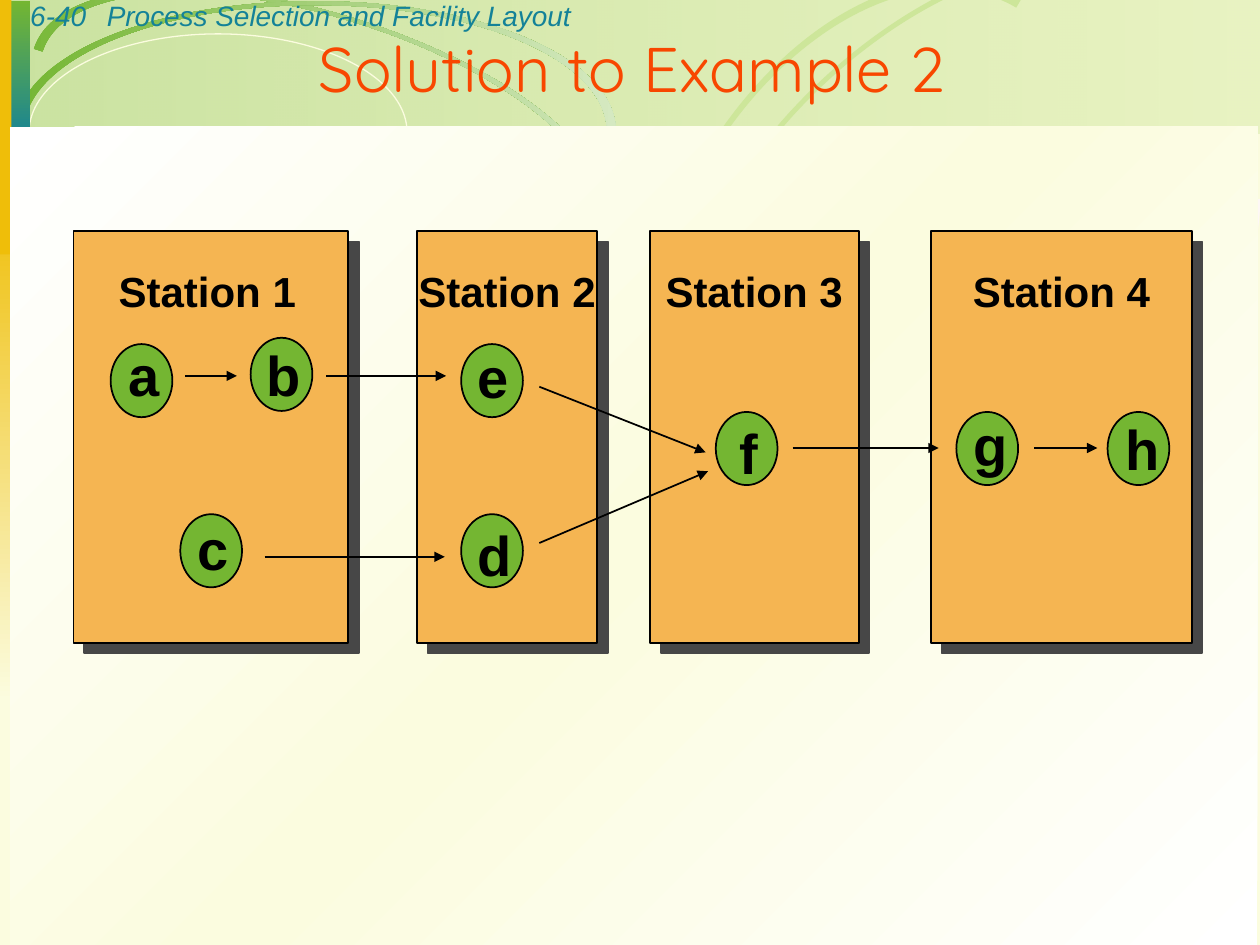
"""Draws the assembly-line station layout that solves Example 2."""
from lxml import etree
from pptx import Presentation
from pptx import util as u
from pptx.dml import color as dml_color
from pptx.enum import shapes, text
from pptx.oxml import ns

BLACK, GREEN, PALE, TEAL = "000000", "74B632", "FBFCDF", "148298"
GOLD, ORANGE, RED, LIME, OLIVE = "EFBE09", "F5B552", "F84700", "CDE69A", "CEDE73"
RECT, OVAL = shapes.MSO_SHAPE.RECTANGLE, shapes.MSO_SHAPE.OVAL
LEFT, CENTER = text.PP_ALIGN.LEFT, text.PP_ALIGN.CENTER
HALF_OVAL = [(0, 0.5), (0, 0.22), (0.22, 0), (0.5, 0), (0.78, 0), (1, 0.22), (1, 0.5)]
RIM = 0.97


def rgb(value):
    return dml_color.RGBColor.from_string(value)


def child(parent, tag, **attributes):
    values = {key: str(value) for key, value in attributes.items()}
    return etree.SubElement(parent, ns.qn(tag), values)


def write(frame, words, size=16, font="Arial", color=BLACK, bold=False,
          italic=False, align=LEFT):
    paragraph = frame.paragraphs[0]
    paragraph.alignment = align
    run = paragraph.add_run()
    run.text = words
    run.font.size, run.font.name = u.Pt(size), font
    run.font.bold, run.font.italic = bold, italic
    run.font.color.rgb = rgb(color)


class Board:
    """Holds the line style and the current slide, and draws each kind of element."""

    def __init__(self, slide, line_width=1):
        self.slide, self.line_width = slide, line_width
        slide.background.fill.solid()
        slide.background.fill.fore_color.rgb = rgb(PALE)

    def paint(self, shape, fill=None, line=None, width=None, angle=0):
        shape.shadow.inherit = False
        if fill is None:
            shape.fill.background()
        elif isinstance(fill, str):
            shape.fill.solid()
            shape.fill.fore_color.rgb = rgb(fill)
        else:
            self.blend(shape, fill, angle)
        if line:
            shape.line.color.rgb = rgb(line)
            shape.line.width = u.Pt(width or self.line_width)
        else:
            shape.line.fill.background()
        return shape

    def blend(self, shape, colors, angle):
        shape.fill.gradient()
        shape.fill.gradient_angle = -angle % 360
        stops = shape.element.spPr.find(ns.qn("a:gradFill")).find(ns.qn("a:gsLst"))
        for stop in list(stops):
            stops.remove(stop)
        for index, (color, *alpha) in enumerate(colors):
            stop = child(stops, "a:gs", pos=100000 * index // (len(colors) - 1))
            tint = child(stop, "a:srgbClr", val=color)
            if alpha:
                child(tint, "a:alpha", val=alpha[0] * 1000)

    def shape(self, kind, x, y, w, h, **style):
        box = map(u.Pt, (x, y, w, h))
        return self.paint(self.slide.shapes.add_shape(kind, *box), **style)

    def curve(self, x, y, w, h, steps, **style):
        left, top, right, bottom = map(u.Pt, (x, y, x + w, y + h))
        builder = self.slide.shapes.build_freeform(left, top)
        builder.add_line_segments([(right, top), (right, bottom), (left, bottom)])
        outline = builder.convert_to_shape()
        track = next(outline.element.spPr.iter(ns.qn("a:path")))
        for step in list(track):
            track.remove(step)
        for tag, points in steps:
            step = child(track, tag)
            for across, down in points:
                child(step, "a:pt", x=round(across * (right - left)),
                      y=round(down * (bottom - top)))
        return self.paint(outline, **style)

    def arch(self, x, y, w, h, turn=0, **style):
        inner = [(0.5 + (a - 0.5) * RIM, 0.5 + (d - 0.5) * RIM) for a, d in HALF_OVAL]
        outer = HALF_OVAL[::-1]
        steps = [("a:moveTo", inner[:1]), ("a:cubicBezTo", inner[1:4]),
                 ("a:cubicBezTo", inner[4:]), ("a:lnTo", outer[:1]),
                 ("a:cubicBezTo", outer[1:4]), ("a:cubicBezTo", outer[4:]), ("a:close", [])]
        self.curve(x, y, w, h, steps, angle=-turn, **style).rotation = turn

    def station(self, x, w):
        card = self.shape(RECT, x, 132, w, 235.4, fill=ORANGE, line=BLACK)
        effects = card.element.spPr.find(ns.qn("a:effectLst"))
        shadow = child(effects, "a:outerShdw", blurRad=0, dist=u.Pt(8.5),
                       dir=45 * 60000, algn="ctr", rotWithShape=0)
        child(shadow, "a:srgbClr", val="474747")

    def label(self, words, x, y, w, h, wrap=False, **style):
        box = self.slide.shapes.add_textbox(*map(u.Pt, (x, y, w, h)))
        box.text_frame.word_wrap = wrap
        write(box.text_frame, words, **style)

    def arrow(self, *ends):
        arrow = self.slide.shapes.add_connector(
            shapes.MSO_CONNECTOR.STRAIGHT, *map(u.Pt, ends))
        arrow.line.color.rgb = rgb(BLACK)
        arrow.line.width = u.Pt(self.line_width)
        child(arrow.element.spPr.find(ns.qn("a:ln")), "a:tailEnd", type="triangle")
        child(arrow.element.spPr, "a:effectLst")

    def title(self, words, x, y, w, h):
        title = self.slide.shapes.title
        title.left, title.top, title.width, title.height = map(u.Pt, (x, y, w, h))
        title.text_frame.vertical_anchor = text.MSO_ANCHOR.MIDDLE
        title.text_frame.auto_size = text.MSO_AUTO_SIZE.NONE
        write(title.text_frame, words, size=36, font="Quicksand", color=RED, align=CENTER)
        title.element.getparent().append(title.element)


def draw_backdrop(board):
    fade = [(GREEN,), ("D5E9C1",)]
    sweep = [("a:moveTo", [(0, 1)]), ("a:cubicBezTo", [(0.55, 1), (1, 0.55), (1, 0)])]
    board.shape(RECT, 0.7, 0, 719.3, 76.3, fill=[(GREEN, 36), ("BCDD7B", 29)])
    board.arch(11.5, 7.9, 343.4, 143.3, turn=17.5, fill=fade)
    board.shape(OVAL, 16.6, 19.4, 216, 112.3, line=PALE, width=0.75)
    board.curve(13.7, 114.5, 702.7, 284.4, sweep, line="ECF3D9", width=6)
    board.curve(14.4, 113.8, 702.7, 284.4, sweep, line="FDF8F5", width=6)
    board.shape(RECT, 0, 111.6, 15.8, 288.7, fill=[(GOLD,), (PALE,)], angle=90)
    board.arch(365, 17.3, 343.4, 186.5, turn=318.2, fill=LIME)
    board.arch(324, 37.4, 343.4, 220.3, turn=300.7, fill=LIME)
    board.arch(8.6, 0.7, 343.4, 149, fill=fade)
    board.shape(RECT, 0.7, 0.7, 16.6, 82.1, fill=[(GREEN,), (TEAL,)], angle=90)
    bars = [(5.8, 132.5, TEAL, OLIVE), (136.8, 132.5, OLIVE, GOLD),
            (268.6, 132.5, GOLD, RED), (399.6, 262.8, RED, PALE)]
    for x, w, start, end in bars:
        board.shape(RECT, x, 76.3, w, 5.8, fill=[(start,), (end,)])
    board.shape(RECT, 0, 0, 6.5, 145.4, fill=GOLD)
    board.shape(RECT, 5.8, 72.3, 712.8, 467.7,
                fill=[("FFFFFF",), (PALE,), ("FFFFFF",)], angle=45)


def draw_stations(board):
    stations = [(42, 157, 60.5), (238.3, 103, 231.8),
                (371.5, 119.2, 373), (532.1, 149, 548.6)]
    tasks = {"a": (63.2, 196.6, 66.2, 190.8, 32.4), "b": (143.2, 193, 145, 190.8, 38.9),
             "c": (103, 293.8, 105.8, 290.2, 32.4), "d": (263.5, 293.8, 265.7, 293.8, 33.8),
             "e": (263.5, 196.6, 265.7, 192.2, 32.4), "f": (409, 235.4, 415.4, 235.4, 25.2),
             "g": (546.5, 235.4, 549.4, 231.1, 33.8), "h": (632.9, 235.4, 635.8, 233.3, 33.8)}
    flows = [(105.8, 214.8, 135.4, 214.8), (186.5, 214.8, 254.9, 214.8),
             (151.2, 318.2, 254.2, 318.2), (308.2, 310.3, 404.6, 269.3),
             (308.2, 221, 403.2, 258.5), (452.9, 256, 536.4, 256),
             (591.1, 256, 627.1, 256)]
    for x, w, _ in stations:
        board.station(x, w)
    for number, (_, _, x) in enumerate(stations, 1):
        board.label(f"Station {number}", x, 148.3, 115.9, 36, size=24, bold=True, align=CENTER)
    for x, y, *_ in tasks.values():
        board.shape(OVAL, x, y, 35.3, 41.8, fill=GREEN, line=BLACK)
    for letter, (_, _, x, y, w) in tasks.items():
        board.label(letter, x, y, w, 45.4, wrap=letter == "b", size=32, bold=True)
    for flow in flows:
        board.arrow(*flow)


def main():
    deck = Presentation()
    deck.slide_width, deck.slide_height = u.Pt(720), u.Pt(540)
    board = Board(deck.slides.add_slide(deck.slide_layouts[5]))
    draw_backdrop(board)
    board.label(" 6-40", 5.8, -4.3, 59.8, 26.6, wrap=True, color=TEAL, italic=True)
    board.label("Process Selection and Facility Layout", 54, -4.3, 612, 26.6,
                wrap=True, color=TEAL, italic=True)
    draw_stations(board)
    board.title("Solution to Example 2", 2.2, 24.5, 717.8, 28.1)
    deck.save("out.pptx")


if __name__ == "__main__":
    main()
